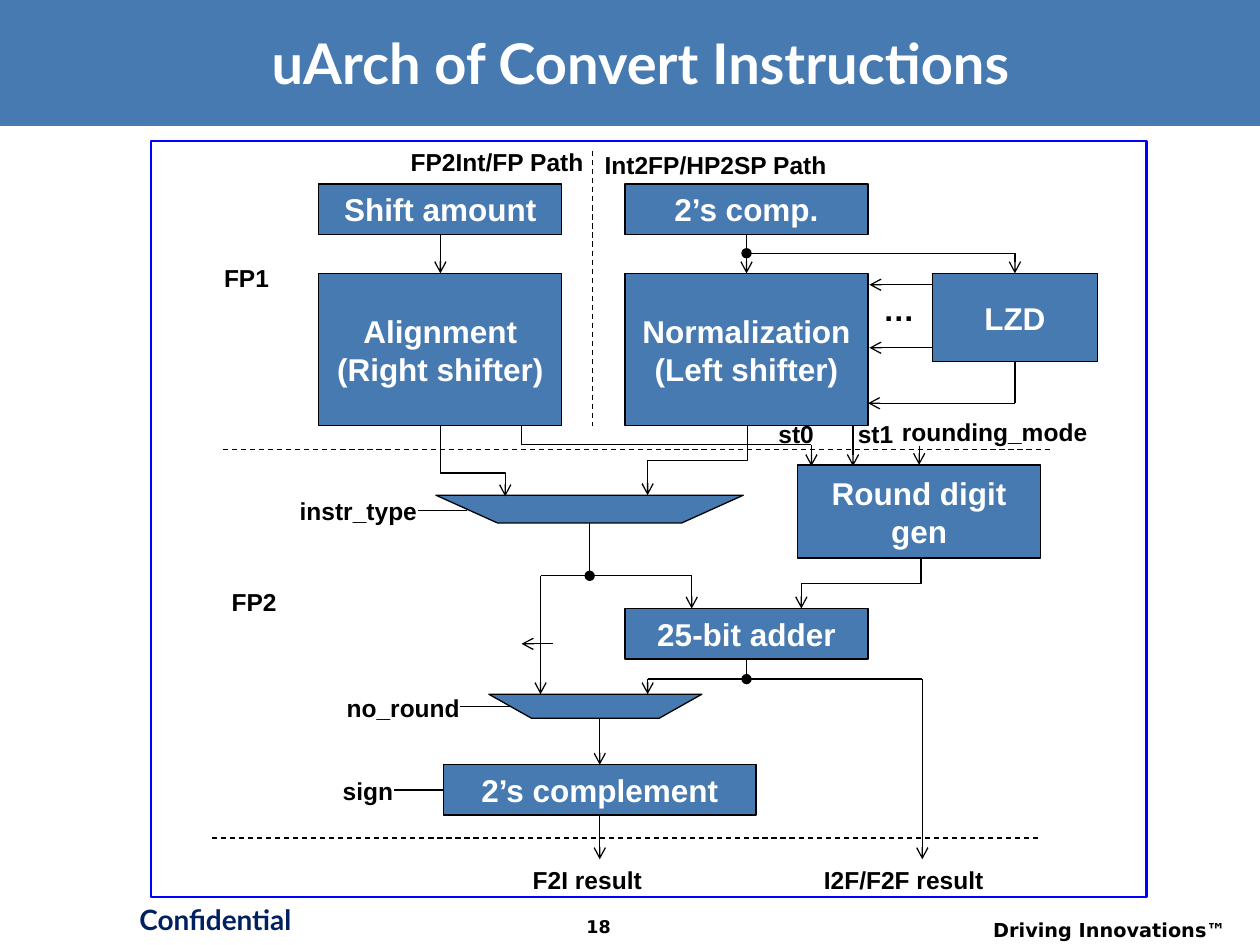
from math import isclose

from lxml import etree
from pptx import Presentation
from pptx.dml.color import RGBColor
from pptx.enum.dml import MSO_LINE
from pptx.enum.shapes import MSO_CONNECTOR, MSO_SHAPE
from pptx.enum.text import MSO_ANCHOR, PP_ALIGN
from pptx.oxml.ns import qn
from pptx.util import Inches, Pt

RECTANGLE = MSO_SHAPE.RECTANGLE
MULTIPLEXER = MSO_SHAPE.FLOWCHART_MANUAL_OPERATION
STRAIGHT, ELBOW = MSO_CONNECTOR.STRAIGHT, MSO_CONNECTOR.ELBOW
LEFT, CENTER, RIGHT = PP_ALIGN.LEFT, PP_ALIGN.CENTER, PP_ALIGN.RIGHT
MIDDLE, TOP = MSO_ANCHOR.MIDDLE, MSO_ANCHOR.TOP
BLUE, BLACK, WHITE, NAVY = "477AB1", "000000", "FFFFFF", "002060"

presentation = Presentation()
presentation.slide_width, presentation.slide_height = Inches(10), Inches(7.5)
slide = presentation.slides.add_slide(presentation.slide_layouts[6])
shapes = slide.shapes

# The slide is a grid of 100 columns by 75 rows; all places are in cells.
CELL = presentation.slide_width / 100


def cells(*counts):
    return [round(count * CELL) for count in counts]


def write(shape, text, size, color, alignment, font="Arial", anchor=TOP):
    frame = shape.text_frame
    frame.word_wrap = True
    frame.vertical_anchor = anchor
    frame.text = text
    paragraph = frame.paragraphs[0]
    paragraph.alignment = alignment
    run_font = paragraph.runs[0].font
    run_font.name, run_font.size, run_font.bold = font, Pt(size), True
    run_font.color.rgb = RGBColor.from_string(color)


# Title band and footer
band = shapes.add_shape(RECTANGLE, *cells(0, 0, 100, 10))
band.shadow.inherit = False
band.fill.solid()
band.fill.fore_color.rgb = RGBColor.from_string(BLUE)
band.line.fill.background()

footers = [
    ("Confidential", (8.9, 71.1, 16.4, 4.2), 16, NAVY, CENTER, "Lato"),
    ("Driving Innovations™", (74.6, 72.4, 23.7, 2.6), 11, BLACK, RIGHT, "DejaVu Sans"),
    ("18", (42.9, 72.2, 9.2, 2.8), 10, BLACK, CENTER, "DejaVu Sans"),
]
for text, place, size, color, alignment, font in footers:
    write(shapes.add_textbox(*cells(*place)), text, size, color, alignment, font)

title = shapes.add_textbox(*cells(3.5, 1.6, 94.7, 6.6))
write(title, "uArch of Convert Instructions", 32, WHITE, CENTER, "Lato", MIDDLE)
title_properties = title.text_frame.paragraphs[0].runs[0].font._element
effects = etree.Element(qn("a:effectLst"))
title_shadow = etree.SubElement(
    effects, qn("a:outerShdw"), dist="38100", dir="2700000", algn="tl")
etree.SubElement(title_shadow, qn("a:srgbClr"), val=BLACK)
title_properties.find(qn("a:solidFill")).addnext(effects)

# Functional units: the two paths share one box width
BOX, LEFT_PATH, RIGHT_PATH = 19.3, 25.3, 49.6
LEFT_AXIS, RIGHT_AXIS = LEFT_PATH + BOX / 2, RIGHT_PATH + BOX / 2
LZD_AXIS, ROUND_AXIS, RESULT_AXIS = 80.55, 72.95, 47.6
units = [
    (RECTANGLE, "2’s comp.", (RIGHT_PATH, 14.6, BOX, 4)),
    (RECTANGLE, "Normalization (Left shifter)", (RIGHT_PATH, 21.7, BOX, 12.1)),
    (RECTANGLE, "Alignment (Right shifter)", (LEFT_PATH, 21.7, BOX, 12.1)),
    (RECTANGLE, "Shift amount", (LEFT_PATH, 14.6, BOX, 4)),
    (RECTANGLE, "25-bit adder", (RIGHT_PATH, 48.3, BOX, 4)),
    (RECTANGLE, "Round digit gen", (63.3, 36.9, BOX, 7.4)),
    (RECTANGLE, "2’s complement", (35.2, 60.7, 24.8, 4)),
    (RECTANGLE, "LZD", (74, 21.7, 13.1, 7)),
    (MULTIPLEXER, "", (34.6, 39.3, 24.4, 2.2)),
    (MULTIPLEXER, "", (38.8, 55.1, 16.9, 1.9)),
]
side_middles = []
for kind, text, (left, top, width, height) in units:
    unit = shapes.add_shape(kind, *cells(left, top, width, height))
    unit.shadow.inherit = False
    unit.fill.solid()
    unit.fill.fore_color.rgb = RGBColor.from_string(BLUE)
    unit.line.color.rgb = RGBColor.from_string(BLACK)
    unit.line.width = Pt(0.75)
    if text:
        write(unit, text, 18, WHITE, CENTER, anchor=MIDDLE)
        center, middle = left + width / 2, top + height / 2
        points = [(center, top), (left, middle),
                  (center, top + height), (left + width, middle)]
        side_middles += [(point, unit, site) for site, point in enumerate(points)]

frame_box = shapes.add_shape(RECTANGLE, *cells(12, 11.2, 79, 60))
frame_box.shadow.inherit = False
frame_box.fill.background()
frame_box.line.color.rgb = RGBColor.from_string("0000FF")
frame_box.line.width = Pt(1.25)

# Labels: text, left, top, width, size, alignment, side inset
labels = [
    ("st0", 60.8, 32.8, 5, 14, LEFT, 1),
    ("st1", 67.1, 32.8, 5, 14, LEFT, 1),
    ("rounding_mode", 70.6, 32.6, 17.7, 14, LEFT, 1),
    ("F2I result", 41.3, 68.2, 12.7, 14, LEFT, 1),
    ("I2F/F2F result", 64.4, 68.2, 17.5, 14, LEFT, 1),
    ("FP2Int/FP Path", 27.1, 11.2, 20.2, 14, RIGHT, 1),
    ("Int2FP/HP2SP Path", 47, 11.4, 24.5, 14, LEFT, 1),
    ("FP1", 16.8, 20.4, 6.6, 14, LEFT, 1),
    ("FP2", 17.4, 46.1, 6.6, 14, LEFT, 1),
    ("sign", 24, 61.1, 7.2, 14, RIGHT, 0),
    ("no_round", 27.3, 54.5, 9.2, 14, RIGHT, 0),
    ("instr_type", 23.4, 38.9, 9.7, 14, RIGHT, 0),
    ("…", 69.1, 22.5, 4.5, 18, LEFT, 1),
]
for text, left, top, width, size, alignment, inset in labels:
    label = shapes.add_textbox(*cells(left, top, width, 3.4))
    label.text_frame.margin_left, label.text_frame.margin_right = cells(inset, inset)
    write(label, text, size, BLACK, alignment)

# Wires: start, end, style
wires = [
    ((LEFT_AXIS, 18.6), (LEFT_AXIS, 21.7), "arrow"),
    ((RIGHT_AXIS, 18.6), (RIGHT_AXIS, 21.7), "arrow"),
    ((LEFT_AXIS, 33.8), (LEFT_AXIS, 36.9), "plain"),
    ((LEFT_AXIS, 35.7), (40.1, 39.4), "elbow"),
    ((59.3, 33.8), (51.4, 39.3), "elbow"),
    ((73.1, 44.3), (63.6, 48.3), "elbow"),
    ((RIGHT_AXIS, 52.3), (RIGHT_AXIS, 53.9), "oval"),
    ((ROUND_AXIS, 35.4), (ROUND_AXIS, 36.9), "arrow"),
    ((51.4, 53.9), (73.2, 53.9), "plain"),
    ((73.2, 53.9), (73.2, 68.2), "arrow"),
    ((51.4, 53.9), (51.4, 55.1), "arrow"),
    ((RESULT_AXIS, 57), (RESULT_AXIS, 60.7), "arrow"),
    ((RESULT_AXIS, 64.7), (RESULT_AXIS, 68.2), "arrow"),
    ((47, 12), (47, 33.8), "dash"),
    ((17.7, 35.7), (83.4, 35.7), "dash"),
    ((16.8, 66.5), (82.5, 66.5), "dash"),
    ((67.7, 33.8), (67.7, 37), "arrow"),
    ((64.4, 35.3), (64.4, 37), "arrow"),
    ((41.4, 33.8), (41.4, 35.3), "plain"),
    ((41.4, 35.3), (64.4, 35.3), "plain"),
    ((46.8, 41.5), (46.8, 45.7), "oval"),
    ((42.9, 45.7), (54.9, 45.7), "plain"),
    ((42.9, 45.7), (42.9, 55.1), "arrow"),
    ((54.9, 45.7), (54.9, 48.3), "arrow"),
    ((43.9, 51.1), (41.4, 51.1), "arrow"),
    ((40.5, 56.1), (36.5, 56.1), "plain"),
    ((35.2, 62.7), (31.3, 62.7), "plain"),
    ((37.1, 40.5), (33.2, 40.5), "plain"),
    ((74, 27.6), (69, 27.6), "arrow"),
    ((74, 22.6), (69, 22.6), "arrow"),
    ((LZD_AXIS, 28.7), (LZD_AXIS, 32), "plain"),
    ((LZD_AXIS, 32), (68.9, 32), "arrow"),
    ((LZD_AXIS, 20.1), (RIGHT_AXIS, 20.1), "oval"),
    ((LZD_AXIS, 20.1), (LZD_AXIS, 21.7), "arrow"),
]
for start, end, style in wires:
    if style == "elbow":
        # Vertical first: lay the elbow on its side, then turn it a quarter
        center_x, center_y = (start[0] + end[0]) / 2, (start[1] + end[1]) / 2
        across, down = (end[0] - start[0]) / 2, (end[1] - start[1]) / 2
        side = down if across > 0 else -down
        wire = shapes.add_connector(ELBOW, *cells(
            center_x + side, center_y - abs(across),
            center_x - side, center_y + abs(across)))
        transform = wire._element.spPr.find(qn("a:xfrm"))
        transform.set("rot", "16200000" if across > 0 else "5400000")
    else:
        wire = shapes.add_connector(STRAIGHT, *cells(*start, *end))
        for point, unit, site in side_middles:
            for wire_end, join in ((start, wire.begin_connect), (end, wire.end_connect)):
                if all(isclose(a, b, abs_tol=0.01) for a, b in zip(wire_end, point)):
                    join(unit, site)
    wire.line.color.rgb = RGBColor.from_string(BLACK)
    wire.line.width = Pt(0.75)
    if style == "dash":
        wire.line.dash_style = MSO_LINE.DASH
    elif style != "plain":
        head = "oval" if style == "oval" else "arrow"
        etree.SubElement(wire.line._get_or_add_ln(), qn("a:tailEnd"), type=head)
    etree.SubElement(wire._element.spPr, qn("a:effectLst"))

presentation.save("out.pptx")
